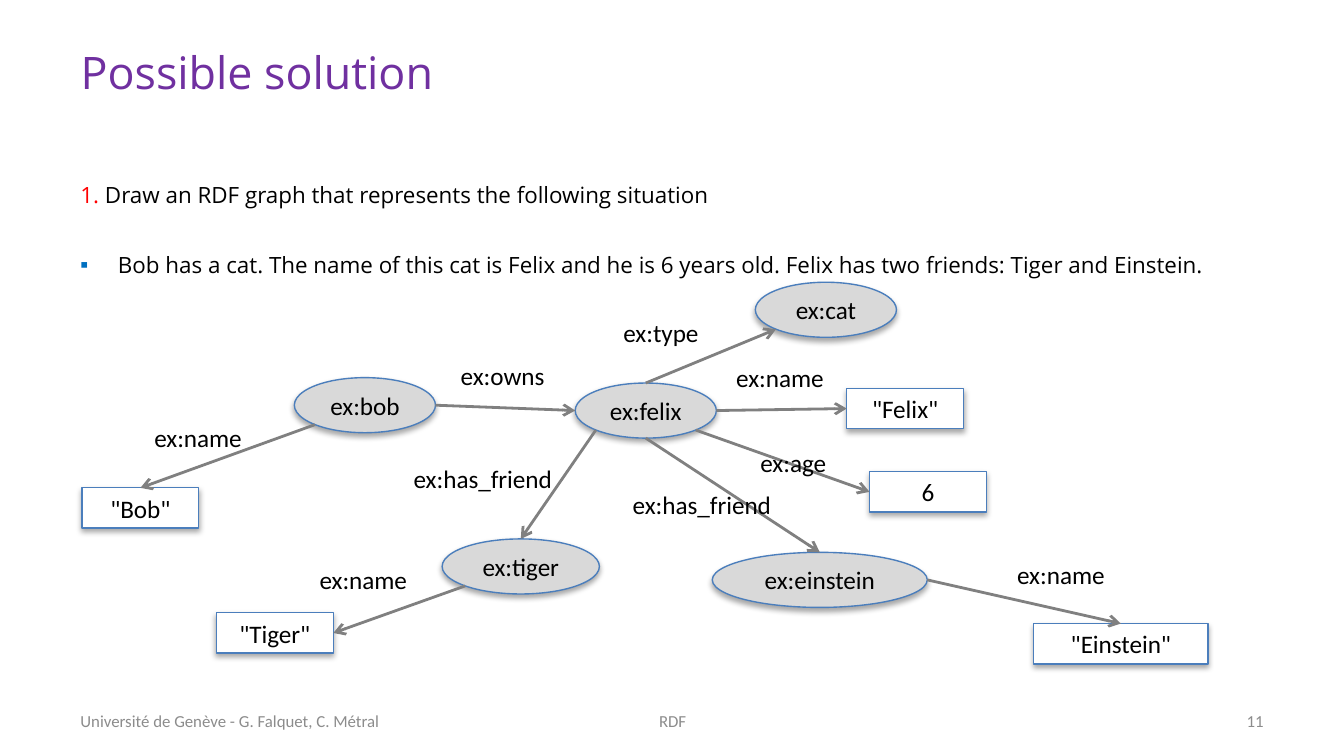
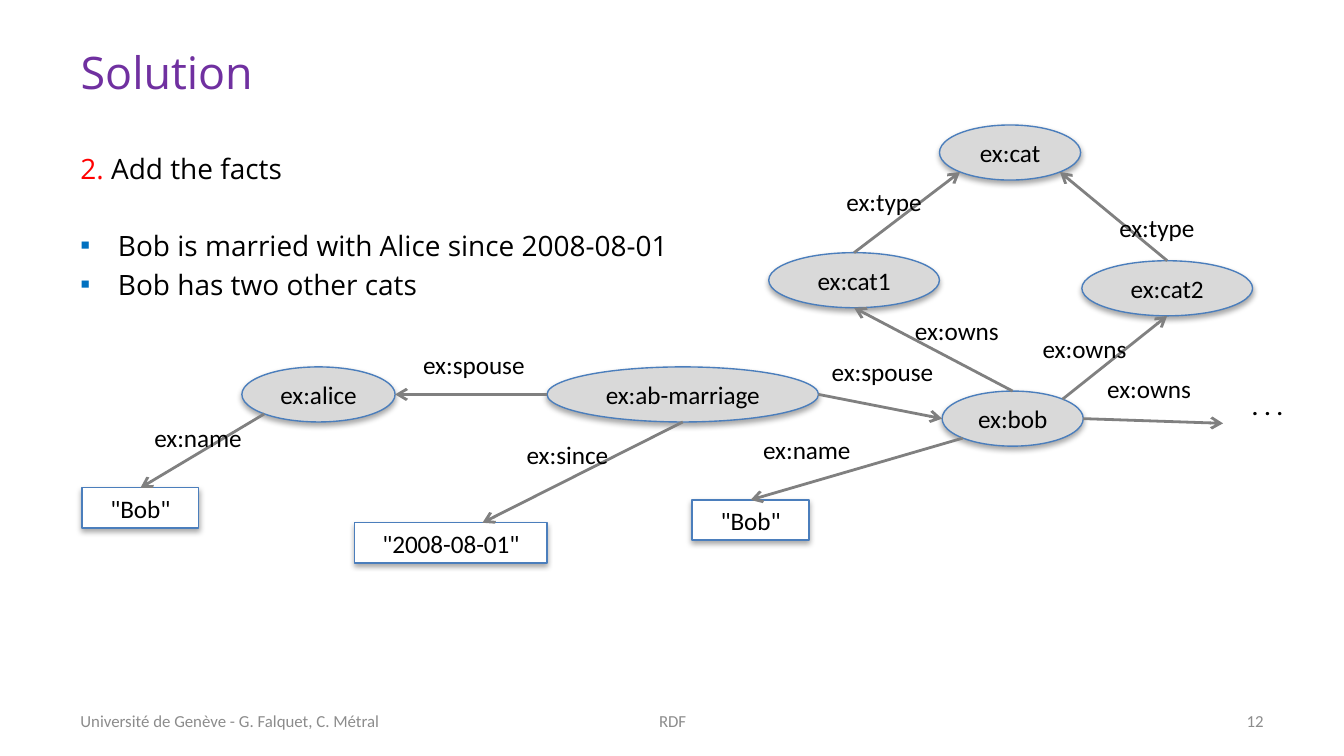
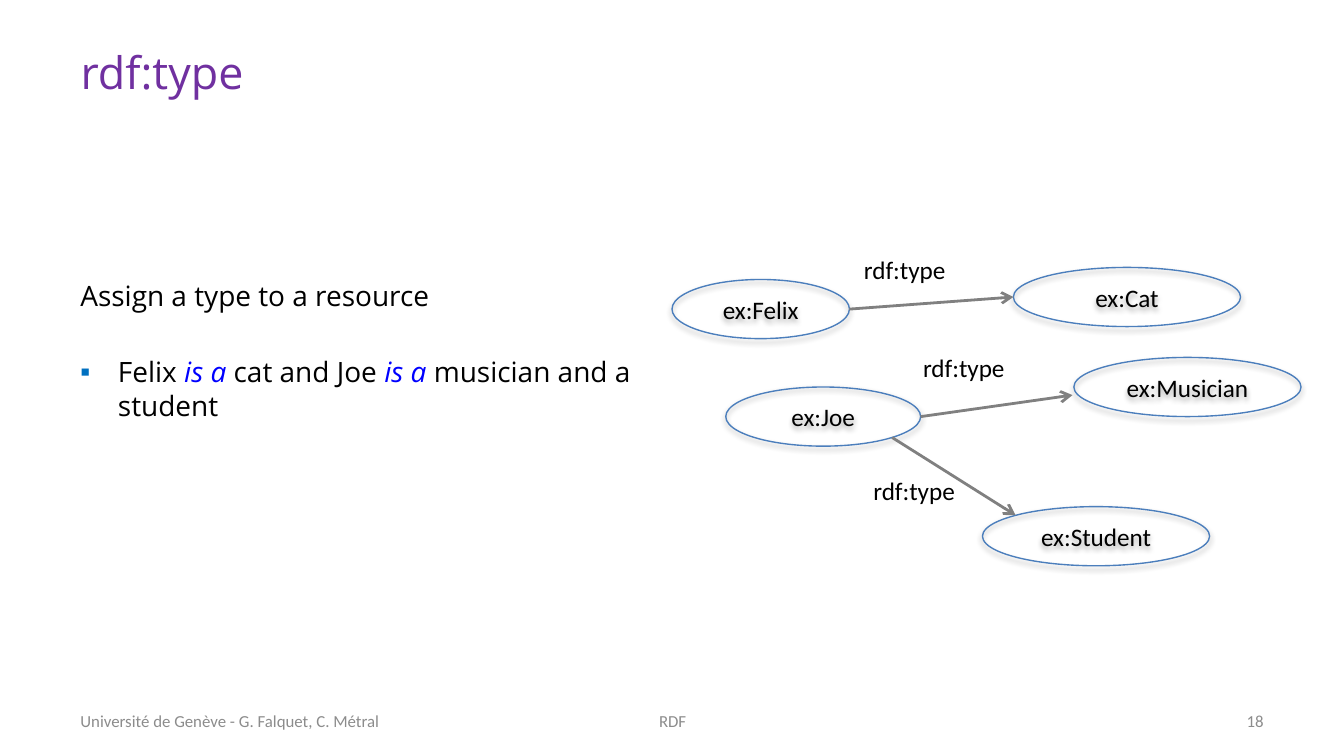
from lxml.etree import SubElement
from pptx import Presentation
from pptx.dml.color import RGBColor
from pptx.enum.shapes import MSO_CONNECTOR as Line, MSO_SHAPE as Kind
from pptx.enum.text import MSO_ANCHOR as Anchor, MSO_AUTO_SIZE as Fit, PP_ALIGN as Align
from pptx.oxml.ns import qn
from pptx.util import Inches, Pt

COLORS = {
    "title": "7030A0", "text": "000000", "number": "FF0000", "accent": "0000FF",
    "bullet": "0070C0", "foot": "8C8C8C", "node": "D9D9D9", "value": "FFFFFF",
    "edge": "4B7EBC", "arrow": "808080",
}
HEAD, BODY, DOTS = "Open Sans", "Calibri", "Karla"
DIAG = 0.354  # half the cosine of 45 degrees
SITES = {
    "n": (0, -0.5), "w": (-0.5, 0), "s": (0, 0.5), "e": (0.5, 0),
    "nw": (-DIAG, -DIAG), "ne": (DIAG, -DIAG),
    "sw": (-DIAG, DIAG), "se": (DIAG, DIAG),
}
SIDES = "nwse"  # a rectangle's connection sites, in order
LABEL_H = 0.33
LABEL_W = {
    "ex:name": 0.86, "ex:owns": 0.86, "ex:age": 0.7, "ex:type": 0.77,
    "ex:has_friend": 1.44, "ex:spouse": 1.05, "ex:since": 1.05, "rdf:type": 0.82,
}


def rgb(key):
    return RGBColor.from_string(COLORS[key])


def add_run(para, text, size, font=BODY, color="text", italic=False):
    run = para.add_run()
    run.text = text
    run.font.size = Pt(size)
    run.font.name = font
    run.font.color.rgb = rgb(color)
    run.font.italic = italic


def add_box(slide, x, y, w, h, anchor=Anchor.TOP):
    box = slide.shapes.add_textbox(Inches(x), Inches(y), Inches(w), Inches(h))
    frame = box.text_frame
    frame.word_wrap = True
    frame.vertical_anchor = anchor
    return frame


def add_title(slide, text):
    title = slide.shapes.title
    title.left, title.top = Inches(0.5), Inches(0.23)
    title.width, title.height = Inches(9), Inches(0.6)
    frame = title.text_frame
    frame.auto_size = Fit.NONE
    frame.vertical_anchor = Anchor.MIDDLE
    para = frame.paragraphs[0]
    para.alignment = Align.LEFT
    add_run(para, text, 24, HEAD, "title")


def add_foot(slide, number):
    parts = [
        (0.5, 2.92, Align.LEFT, "Université de Genève - G. Falquet, C. Métral"),
        (3.42, 3.17, Align.CENTER, "RDF"),
        (7.17, 2.33, Align.RIGHT, str(number)),
    ]
    for x, w, align, text in parts:
        para = add_box(slide, x, 5.21, w, 0.3, Anchor.MIDDLE).paragraphs[0]
        para.alignment = align
        add_run(para, text, 9, color="foot")


def set_bullet(para):
    props = para._p.get_or_add_pPr()
    props.set("marL", str(Inches(0.28)))
    props.set("indent", str(-Inches(0.28)))
    tint = SubElement(props, qn("a:buClr"))
    SubElement(tint, qn("a:srgbClr"), val=COLORS["bullet"])
    SubElement(props, qn("a:buFont"), typeface=BODY)
    SubElement(props, qn("a:buChar"), char="▪")


def add_body(slide, w, h, inset, size, lead, items):
    """Set a lead line and, after a gap, bulleted items; each is a list of (text, color)."""
    frame = add_box(slide, 0.5, 1.02, w, h)
    frame.margin_top = Inches(inset)
    for i, parts in enumerate([lead] + items):
        para = frame.add_paragraph() if i else frame.paragraphs[0]
        if i:
            para.space_before = Pt(23 if i == 1 else 3)
            set_bullet(para)
        for text, color in parts:
            add_run(para, text, size, HEAD, color, color == "accent")


def add_shadow(shape):
    shape.shadow.inherit = False
    effects = shape._element.spPr.find(qn("a:effectLst"))
    outer = SubElement(effects, qn("a:outerShdw"), blurRad=str(Pt(3.1)),
                       dist=str(Pt(1.8)), dir="5400000", rotWithShape="0")
    tint = SubElement(outer, qn("a:srgbClr"), val="000000")
    SubElement(tint, qn("a:alpha"), val="35000")


def add_node(slide, text, x, y, w, h, kind, fill):
    node = slide.shapes.add_shape(kind, Inches(x), Inches(y), Inches(w), Inches(h))
    if fill:
        node.fill.solid()
        node.fill.fore_color.rgb = rgb(fill)
    else:
        node.fill.background()
    node.line.color.rgb = rgb("edge")
    node.line.width = Pt(0.75)
    add_shadow(node)
    frame = node.text_frame
    frame.margin_left = frame.margin_right = frame.margin_top = frame.margin_bottom = 0
    frame.vertical_anchor = Anchor.MIDDLE
    para = frame.paragraphs[0]
    para.alignment = Align.CENTER
    add_run(para, text, 13.5)
    return node


def add_label(slide, text, x, y):
    frame = add_box(slide, x, y, LABEL_W[text], LABEL_H)
    frame.auto_size = Fit.SHAPE_TO_FIT_TEXT
    frame.margin_right = 0
    add_run(frame.paragraphs[0], text, 13.5)


def find_point(nodes, end):
    """Turn "name.site" or a free (x, y) into a point, with the node if there is one."""
    if isinstance(end, tuple):
        return Inches(end[0]), Inches(end[1]), None, None
    name, site = end.split(".")
    node = nodes[name]
    dx, dy = SITES[site]
    x = int(node.left + node.width * (0.5 + dx))
    y = int(node.top + node.height * (0.5 + dy))
    return x, y, node, site


def add_arrow(slide, nodes, start, end):
    x1, y1, _, _ = find_point(nodes, start)
    x2, y2, goal, site = find_point(nodes, end)
    arrow = slide.shapes.add_connector(Line.STRAIGHT, x1, y1, x2, y2)
    if goal is not None and goal.auto_shape_type == Kind.RECTANGLE:
        arrow.end_connect(goal, SIDES.index(site))
    arrow.line.color.rgb = rgb("arrow")
    arrow.line.width = Pt(1.5)
    SubElement(arrow.line._get_or_add_ln(), qn("a:tailEnd"), type="arrow")
    SubElement(arrow._element.spPr, qn("a:effectLst"))


def add_graph(slide, things, values, edges, fill="node", tall=0.41):
    """Draw things as ellipses, values as rectangles, and labelled arrows between them."""
    nodes = {}
    for name, text, x, y, w in things:
        nodes[name] = add_node(slide, text, x, y, w, tall, Kind.OVAL, fill)
    for name, text, x, y, w in values:
        nodes[name] = add_node(slide, text, x, y, w, 0.3, Kind.RECTANGLE, "value")
    for start, end, text, x, y in edges:
        add_arrow(slide, nodes, start, end)
        add_label(slide, text, x, y)


def add_slide(deck, title, number):
    slide = deck.slides.add_slide(deck.slide_layouts[5])
    add_title(slide, title)
    add_foot(slide, number)
    return slide


def draw_felix(deck):
    slide = add_slide(deck, "Possible solution", 11)
    add_body(slide, 9, 1.39, 0.33, 12,
             [("1. ", "number"),
              ("Draw an RDF graph that represents the following situation", "text")],
             [[("Bob has a cat. The name of this cat is Felix and he is 6 years old. "
                "Felix has two friends: Tiger and Einstein.", "text")]])
    things = [
        ("bob", "ex:bob", 2.19, 2.81, 1.05),
        ("felix", "ex:felix", 4.28, 2.85, 1.05),
        ("tiger", "ex:tiger", 3.29, 4.01, 1.17),
        ("cat", "ex:cat", 5.62, 2.1, 1.05),
        ("einstein", "ex:einstein", 5.3, 4.11, 1.6),
    ]
    values = [
        ("Bob", '"Bob"', 0.61, 3.63, 0.87),
        ("Felix", '"Felix"', 6.3, 2.89, 0.87),
        ("age", "6", 6.47, 3.51, 0.87),
        ("Tiger", '"Tiger"', 1.61, 4.56, 0.87),
        ("Einstein", '"Einstein"', 7.69, 4.64, 1.3),
    ]
    edges = [
        ("bob.sw", "Bob.n", "ex:name", 1.05, 3.09),
        ("bob.e", "felix.w", "ex:owns", 3.33, 2.63),
        ("felix.e", "Felix.w", "ex:name", 5.38, 2.65),
        ("felix.se", "age.w", "ex:age", 5.56, 3.28),
        ("felix.n", "cat.sw", "ex:type", 4.54, 2.31),
        ("felix.sw", "tiger.n", "ex:has_friend", 2.98, 3.4),
        ("felix.s", "einstein.n", "ex:has_friend", 4.61, 3.59),
        ("tiger.sw", "Tiger.e", "ex:name", 2.28, 4.15),
        ("einstein.e", "Einstein.n", "ex:name", 7.47, 4.11),
    ]
    add_graph(slide, things, values, edges)


def draw_facts(deck):
    slide = add_slide(deck, "Solution", 12)
    add_body(slide, 9, 1.88, 0.11, 15,
             [("2. ", "number"), ("Add the facts", "text")],
             [[("Bob is married with Alice since 2008-08-01", "text")],
              [("Bob has two other cats", "text")]])
    things = [
        ("bob", "ex:bob", 7.01, 2.91, 1.05),
        ("alice", "ex:alice", 1.8, 2.73, 1.14),
        ("pair", "ex:ab-marriage", 4.07, 2.73, 2.02),
        ("cat1", "ex:cat1", 5.72, 1.88, 1.27),
        ("cat", "ex:cat", 6.99, 0.93, 1.05),
        ("cat2", "ex:cat2", 8.05, 1.94, 1.27),
    ]
    values = [
        ("Bob", '"Bob"', 5.15, 3.72, 0.87),
        ("Alice", '"Bob"', 0.61, 3.63, 0.87),
        ("date", '"2008-08-01"', 2.64, 3.89, 1.43),
    ]
    edges = [
        ("bob.sw", "Bob.n", "ex:name", 5.58, 3.18),
        ("bob.e", (9.1, 3.15), "ex:owns", 8.14, 2.73),
        ("alice.sw", "Alice.n", "ex:name", 1.05, 3.09),
        ("pair.w", "alice.e", "ex:spouse", 3.05, 2.55),
        ("pair.e", "bob.w", "ex:spouse", 6.09, 2.6),
        ("pair.s", (3.59, 3.89), "ex:since", 3.82, 3.22),
        ("bob.n", "cat1.s", "ex:owns", 6.71, 2.3),
        ("cat1.n", "cat.sw", "ex:type", 6.2, 1.34),
        ("bob.ne", "cat2.s", "ex:owns", 7.66, 2.43),
        ("cat2.n", "cat.se", "ex:type", 8.23, 1.53),
    ]
    add_graph(slide, things, values, edges)
    dots = add_box(slide, 9.22, 2.82, 0.62, 0.37)
    dots.margin_right = 0
    add_run(dots.paragraphs[0], ". . .", 16, DOTS)


def draw_types(deck):
    slide = add_slide(deck, "rdf:type", 18)
    add_body(slide, 4.5, 4, 1.05, 15,
             [("Assign a type to a resource", "text")],
             [[("Felix ", "text"), ("is a", "accent"), (" cat and Joe", "text"),
               (" is a ", "accent"), ("musician and a student", "text")]])
    things = [
        ("felix", "ex:Felix", 5, 2.08, 1.32),
        ("cat", "ex:Cat", 7.54, 1.99, 1.69),
        ("joe", "ex:Joe", 5.4, 2.88, 1.45),
        ("music", "ex:Musician", 7.99, 2.66, 1.69),
        ("student", "ex:Student", 7.31, 3.77, 1.69),
    ]
    edges = [
        ("felix.e", "cat.w", "rdf:type", 6.33, 1.84),
        ("joe.e", (7.98, 2.94), "rdf:type", 6.77, 2.57),
        ("joe.se", "student.nw", "rdf:type", 6.4, 3.49),
    ]
    add_graph(slide, things, [], edges, fill=None, tall=0.44)


def main():
    deck = Presentation()
    deck.slide_width = Inches(10)
    deck.slide_height = deck.slide_width * 9 // 16
    draw_felix(deck)
    draw_facts(deck)
    draw_types(deck)
    deck.save("out.pptx")


if __name__ == "__main__":
    main()
